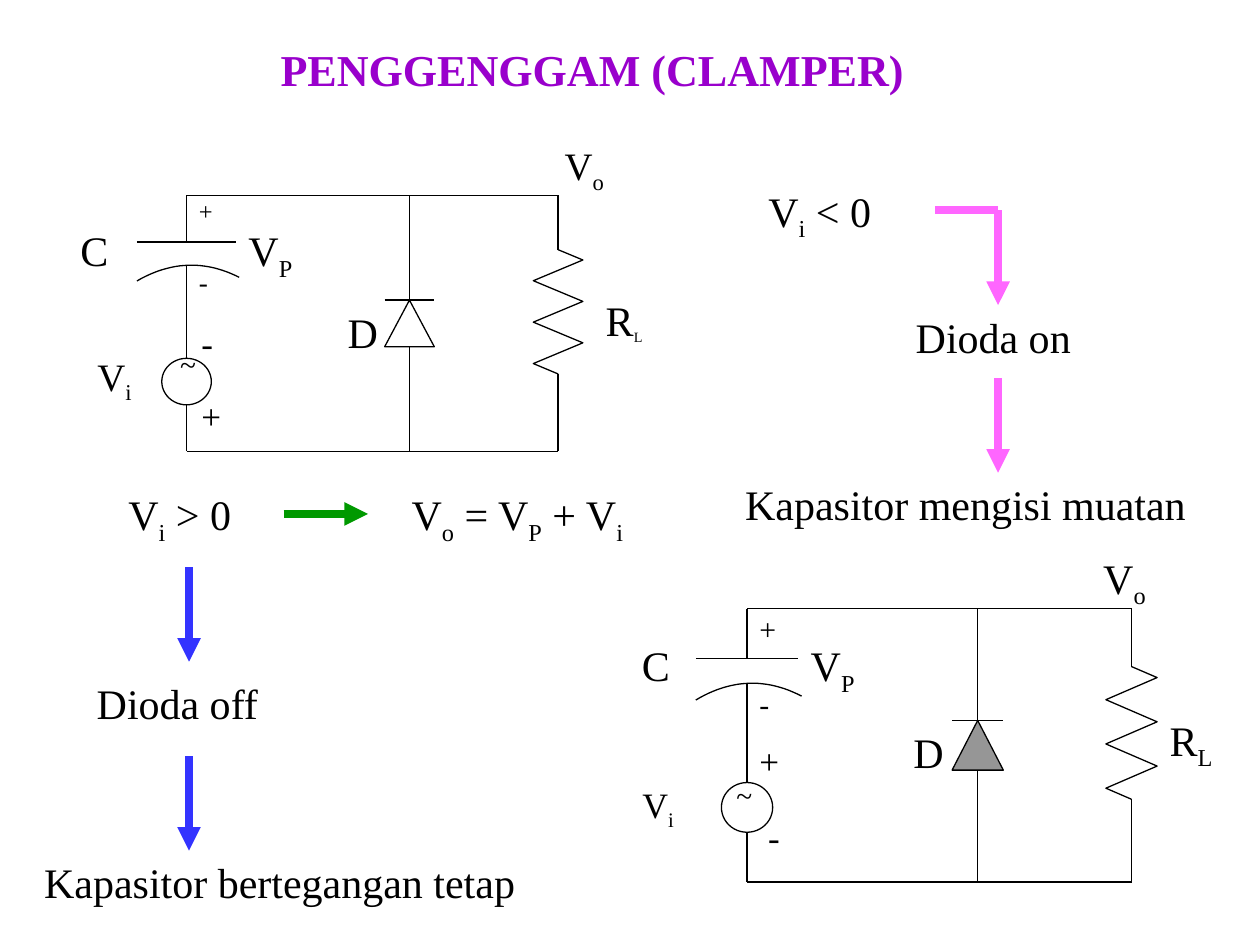
from dataclasses import dataclass
from typing import NamedTuple, Optional

from lxml import etree
from pptx import Presentation
from pptx.dml.color import RGBColor
from pptx.enum import shapes as shape_types, text as text_types
from pptx.oxml import ns
from pptx.util import Cm, Pt


@dataclass(frozen=True)
class Theme:
    font: str = "Times New Roman"
    black: str = "000000"
    white: str = "FFFFFF"
    conducting: str = "969696"
    title: str = "9900CC"
    pink: str = "FF66FF"
    blue: str = "3333FF"
    green: str = "009900"
    wire: float = 0.75
    arrow: float = 4.5
    title_size: float = 25.2
    body: float = 24
    voltage: float = 22.2
    source_voltage: float = 20.4
    polarity: float = 20
    plate_sign: float = 17
    wave: float = 16.8
    small_minus: float = 15.5
    small: float = 14


THEME = Theme()


class Label(NamedTuple):
    """Text box in grid steps from the circuit's top left corner."""
    text: str
    x: float
    y: float
    width: float
    height: float
    size: float = THEME.body
    spacing: Optional[float] = None
    indent: float = 0
    sub_size: Optional[float] = None


class Circuit(NamedTuple):
    left: float
    top: float
    width: float
    height: float
    diode_fill: Optional[str]
    labels: list


class Caption(NamedTuple):
    text: str
    left: float
    top: float
    width: float
    height: float = 1.27
    centred: bool = False


class Arrow(NamedTuple):
    start: tuple
    end: tuple
    color: str
    head: bool = True


GRID_COLUMNS, GRID_ROWS = 15, 11
DIODE_X = 9

SHARED_LABELS = [Label("V_P", 2, 1, 4, 4), Label("D", 6, 4.5, 4, 3)]

CIRCUITS = [
    Circuit(3.76, 3.94, 7.49, 5.16, None, [
        Label("C", -5, 1, 3, 3, indent=3),
        Label("R_L", 16, 4, 4, 3, indent=6, sub_size=THEME.small),
        Label("V_o", 13, -2.55, 5, 3, THEME.voltage, 0.9, indent=25),
        Label("V_i", -4.1, 6.5, 4, 3, THEME.voltage, 0.9),
        Label("~", -0.76, 6.5, 3.4, 2.3, THEME.wave, 0.8),
        Label("+", 0, 0, 3, 2, THEME.small, 0.8),
        Label("-", 0, 3, 3, 2, THEME.small_minus, 0.8),
        Label("-", 0.1, 5.15, 3, 3, THEME.polarity),
        Label("+", 0.1, 8.29, 3, 3, THEME.polarity),
    ]),
    Circuit(15.06, 12.27, 7.75, 5.51, THEME.conducting, [
        Label("C", -5, 1, 3, 3, indent=6),
        Label("R_L", 16, 4, 4, 3),
        Label("V_o", 13, -2.53, 5, 3, indent=6),
        Label("V_i", -4.57, 6.8, 4, 2.5, THEME.source_voltage, 0.9),
        Label("~", -0.9, 6.8, 3, 2, THEME.wave, 0.8),
        Label("+", 0, 0, 3, 2, THEME.plate_sign, 0.9),
        Label("-", 0, 3, 3, 2, THEME.plate_sign, 0.9),
        Label("+", 0, 5, 3, 3, THEME.polarity),
        Label("-", 0.34, 8.06, 3, 3, THEME.polarity),
    ]),
]

CAPTIONS = [
    Caption("V_i < 0", 15.24, 3.61, 3.38, 1.42),
    Caption("V_i > 0", 2.34, 9.73, 3.38, 1.42),
    Caption("V_o = V_P + V_i", 8.05, 9.73, 5.08, 1.42),
    Caption("Dioda on", 18.21, 6.15, 4.45),
    Caption("Kapasitor mengisi muatan", 14.17, 9.53, 10.59, centred=True),
    Caption("Dioda off", 1.7, 13.54, 4.45),
    Caption("Kapasitor bertegangan tetap", 0.64, 17.15, 10.59),
]

ARROWS = [
    Arrow((18.85, 4.24), (20.12, 4.24), THEME.pink, head=False),
    Arrow((20.12, 4.24), (20.12, 6.15), THEME.pink),
    Arrow((20.12, 7.62), (20.12, 9.53), THEME.pink),
    Arrow((3.81, 11.43), (3.81, 13.34), THEME.blue),
    Arrow((3.81, 15.24), (3.81, 17.15), THEME.blue),
    Arrow((5.72, 10.36), (7.42, 10.36), THEME.green),
]


def write_text(frame, text: str, *, size=THEME.body, color=THEME.black, bold=False,
               centred=False, spacing=None, indent=0, sub_size=None) -> None:
    """Fill a text frame; the letter after each underscore is a subscript."""
    frame.word_wrap = True
    paragraph = frame.paragraphs[0]
    paragraph.alignment = text_types.PP_ALIGN.CENTER if centred else text_types.PP_ALIGN.LEFT
    if indent:
        paragraph._p.get_or_add_pPr().set("marL", str(Pt(indent)))
    if spacing:
        paragraph.line_spacing = spacing
    first, *rest = text.split("_")
    pieces = [(first, False)]
    for part in rest:
        pieces += [(part[0], True), (part[1:], False)]
    for content, is_subscript in pieces:
        if not content:
            continue
        run = paragraph.add_run()
        run.text = content
        run.font.name = THEME.font
        run.font.size = Pt(sub_size if is_subscript and sub_size else size)
        run.font.bold = bold
        run.font.color.rgb = RGBColor.from_string(color)
        if is_subscript:
            run._r.get_or_add_rPr().set("baseline", "-25000")


def add_line(shapes, start: tuple, end: tuple, color=THEME.black, width=THEME.wire, head=False):
    line = shapes.add_connector(shape_types.MSO_CONNECTOR.STRAIGHT,
                                *(Cm(value) for value in (*start, *end)))
    line.line.color.rgb = RGBColor.from_string(color)
    line.line.width = Pt(width)
    if head:
        etree.SubElement(line.line._get_or_add_ln(), ns.qn("a:tailEnd"), type="triangle")
    etree.SubElement(line._element.spPr, ns.qn("a:effectLst"))


def style_outline(shape, fill: Optional[str]) -> None:
    shape.shadow.inherit = False
    shape.line.color.rgb = RGBColor.from_string(THEME.black)
    shape.line.width = Pt(THEME.wire)
    if fill:
        shape.fill.solid()
        shape.fill.fore_color.rgb = RGBColor.from_string(fill)
    else:
        shape.fill.background()


def draw_circuit(slide, circuit: Circuit) -> None:
    shapes = slide.shapes.add_group_shape().shapes
    step_x, step_y = circuit.width / GRID_COLUMNS, circuit.height / GRID_ROWS

    def at(x: float, y: float) -> tuple:
        return circuit.left + x * step_x, circuit.top + y * step_y

    def box(x: float, y: float, width: float, height: float) -> list:
        return [Cm(value) for value in (*at(x, y), width * step_x, height * step_y)]

    def polyline(points: list) -> None:
        corners = [tuple(Cm(value) for value in at(*point)) for point in points]
        builder = shapes.build_freeform(*corners[0])
        builder.add_line_segments(corners[1:], close=False)
        style_outline(builder.convert_to_shape(), None)

    zigzag_top, half_turn = 2.33, 0.445
    turns = [(GRID_COLUMNS + (1 if turn % 2 == 0 else -1),
              zigzag_top + half_turn * (1 + 2 * turn)) for turn in range(6)]
    zigzag_bottom = zigzag_top + 12 * half_turn

    wires = [
        ((0, 0), (GRID_COLUMNS, 0)), ((0, GRID_ROWS), (GRID_COLUMNS, GRID_ROWS)),
        ((0, 0), (0, 2)), ((-2, 2), (2, 2)), ((0, 3), (0, 7)), ((0, 9), (0, GRID_ROWS)),
        ((DIODE_X, 0), (DIODE_X, 4.5)), ((DIODE_X - 1, 4.5), (DIODE_X + 1, 4.5)),
        ((DIODE_X, 6.5), (DIODE_X, GRID_ROWS)),
        ((GRID_COLUMNS, 0), (GRID_COLUMNS, zigzag_top)),
        ((GRID_COLUMNS, zigzag_bottom), (GRID_COLUMNS, GRID_ROWS)),
    ]
    for start, end in wires:
        add_line(shapes, at(*start), at(*end))
    polyline([(GRID_COLUMNS, zigzag_top), *turns, (GRID_COLUMNS, zigzag_bottom)])

    plate_x = [-2 + 4.13 * i / 24 for i in range(25)]
    polyline([(x, 3 + 0.14 * (x - 0.2) ** 2) for x in plate_x])

    preset = shape_types.MSO_SHAPE
    diode = shapes.add_shape(preset.ISOSCELES_TRIANGLE, *box(DIODE_X - 1, 4.5, 2, 2))
    style_outline(diode, circuit.diode_fill)
    source = shapes.add_shape(preset.OVAL, *box(-1, 7, 2, 2))
    style_outline(source, THEME.white)

    for label in SHARED_LABELS + circuit.labels:
        text_box = shapes.add_textbox(*box(label.x, label.y, label.width, label.height))
        write_text(text_box.text_frame, label.text, size=label.size, spacing=label.spacing,
                   indent=label.indent, sub_size=label.sub_size)


def set_title(slide, text: str) -> None:
    title = slide.shapes.title
    title.left, title.top, title.width, title.height = Cm(1.27), Cm(0.64), Cm(21.34), Cm(1.7)
    title.text_frame.auto_size = text_types.MSO_AUTO_SIZE.NONE
    title.text_frame.vertical_anchor = text_types.MSO_ANCHOR.MIDDLE
    write_text(title.text_frame, text, size=THEME.title_size, color=THEME.title,
               bold=True, centred=True, spacing=0.8)


def main() -> None:
    presentation = Presentation()
    presentation.slide_width, presentation.slide_height = Cm(25.4), Cm(19.05)
    slide = presentation.slides.add_slide(presentation.slide_layouts[5])
    set_title(slide, "PENGGENGGAM (CLAMPER)")
    for circuit in CIRCUITS:
        draw_circuit(slide, circuit)
    for caption in CAPTIONS:
        text_box = slide.shapes.add_textbox(*(Cm(value) for value in caption[1:5]))
        write_text(text_box.text_frame, caption.text, centred=caption.centred)
    for arrow in ARROWS:
        add_line(slide.shapes, arrow.start, arrow.end, arrow.color, THEME.arrow, arrow.head)
    presentation.save("out.pptx")


if __name__ == "__main__":
    main()
